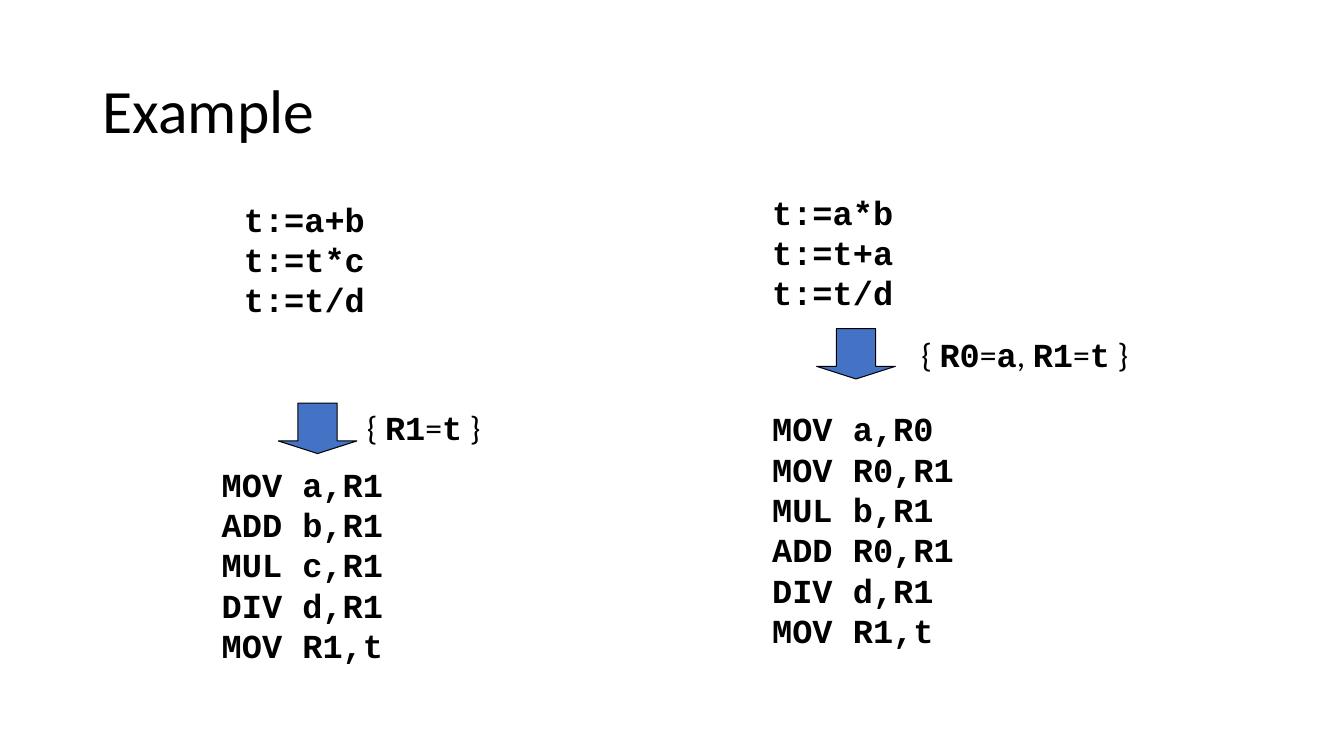
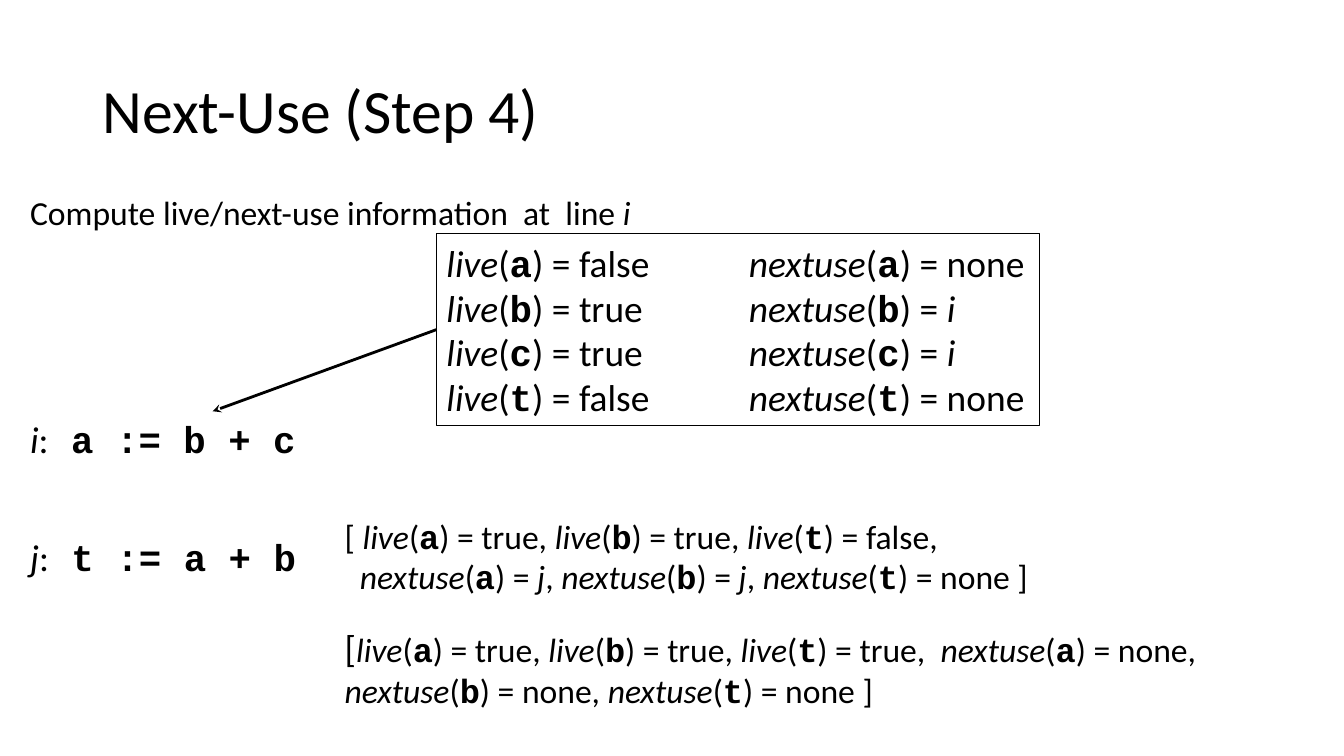
from lxml import etree
from pptx import Presentation
from pptx import util as u
from pptx.dml.color import RGBColor
from pptx.enum import shapes, text
from pptx.oxml import ns

SCALE = 9144
COLORS = {"ink": "000000", "arrow": "4472C4"}
BODY, LARGE, TITLE = 24, 26.7, 44
MARKS = {
    "`": {"name": "Courier New", "bold": True},
    "_": {"italic": True},
    "~": {"size": u.Pt(LARGE)},
}


def px(value):
    return u.Emu(value * SCALE)


def color(name):
    return RGBColor.from_string(COLORS[name])


def assign(target, values):
    for name, value in values.items():
        setattr(target, name, value)


def split_marks(line):
    active, words = set(), ""
    for char in line:
        if char in MARKS:
            if words:
                yield words, set(active)
            active ^= {char}
            words = ""
        else:
            words += char
    if words:
        yield words, active


class Slides:
    def __init__(self):
        self.deck = Presentation()
        assign(self.deck, {"slide_width": px(1333), "slide_height": px(750)})
        self.page = None

    def new_page(self, title):
        self.page = self.deck.slides.add_slide(self.deck.slide_layouts[6])
        box = self.text((92, 40, 1150, 145), [title], TITLE, wrap=True, grow=False)
        box.text_frame.vertical_anchor = text.MSO_ANCHOR.MIDDLE
        box.text_frame.paragraphs[0].line_spacing = 0.9

    def set_lines(self, box, lines, size, wrap, grow=True):
        frame = box.text_frame
        fit = text.MSO_AUTO_SIZE
        assign(frame, {
            "word_wrap": wrap,
            "auto_size": fit.SHAPE_TO_FIT_TEXT if grow else fit.NONE,
        })
        for index, line in enumerate(lines):
            para = frame.add_paragraph() if index else frame.paragraphs[0]
            para.alignment = text.PP_ALIGN.LEFT
            for words, marks in split_marks(line):
                span = para.add_run()
                span.text = words
                style = {"name": "Calibri", "size": u.Pt(size)}
                for mark in marks:
                    style.update(MARKS[mark])
                assign(span.font, style)
                span.font.color.rgb = color("ink")
        return box

    def text(self, area, lines, size=BODY, wrap=False, grow=True):
        box = self.page.shapes.add_textbox(*map(px, area))
        return self.set_lines(box, lines, size, wrap, grow)

    def code(self, area, lines):
        return self.text(area, [f"`{line}`" for line in lines])

    def shape(self, kind, area, fill=None):
        shape = self.page.shapes.add_shape(kind, *map(px, area))
        shape.shadow.inherit = False
        if fill:
            shape.fill.solid()
            shape.fill.fore_color.rgb = color(fill)
        else:
            shape.fill.background()
        shape.line.color.rgb = color("ink")
        shape.line.width = u.Pt(0.75)
        return shape

    def down_arrow(self, left, top):
        arrow = self.shape(shapes.MSO_SHAPE.DOWN_ARROW, (left, top, 78, 50), "arrow")
        arrow.adjustments[0], arrow.adjustments[1] = 0.5, 0.25

    def panel(self, area, lines, tab):
        box = self.shape(shapes.MSO_SHAPE.RECTANGLE, area)
        self.set_lines(box, lines, LARGE, wrap=True)
        for para in box.text_frame.paragraphs:
            tabs = etree.SubElement(para._p.get_or_add_pPr(), ns.qn("a:tabLst"))
            etree.SubElement(tabs, ns.qn("a:tab"), pos=str(px(tab)), algn="l")
        return box

    def pointer(self, box, side, end):
        line = self.page.shapes.add_connector(
            shapes.MSO_CONNECTOR.STRAIGHT, box.left, box.top, *map(px, end))
        line.begin_connect(box, side)
        line.line.color.rgb = color("ink")
        line.line.width = u.Pt(2)
        properties = line._element.spPr
        etree.SubElement(properties.get_or_add_ln(), ns.qn("a:tailEnd"), type="stealth")
        etree.SubElement(properties, ns.qn("a:effectLst"))


def build_example(slides):
    slides.new_page("Example")
    slides.code((232, 192, 141, 131), ["t:=a+b", "t:=t*c", "t:=t/d"])
    slides.code((210, 455, 181, 212),
                ["MOV a,R1", "ADD b,R1", "MUL c,R1", "DIV d,R1", "MOV R1,t"])
    slides.down_arrow(276, 400)
    slides.text((354, 399, 134, 50), ["{ `R1`=`t` }"])
    slides.code((756, 185, 141, 131), ["t:=a*b", "t:=t+a", "t:=t/d"])
    slides.code((756, 400, 202, 252),
                ["MOV a,R0", "MOV R0,R1", "MUL b,R1", "ADD R0,R1", "DIV d,R1", "MOV R1,t"])
    slides.down_arrow(810, 326)
    slides.text((904, 326, 227, 50), ["{ `R0`=`a`, `R1`=`t` }"])


def build_next_use(slides):
    slides.new_page("Next-Use (Step 4)")
    slides.text((20, 185, 623, 50), ["Compute live/next-use information  at  line _i_"])
    for top, statement in ((408, "_i_:` a := b + c`"), (525, "_j_:` t := a + b`")):
        slides.text((20, top, 286, 55), [statement], LARGE)
    facts = [("a", "false", "none"), ("b", "true", "_i_"),
             ("c", "true", "_i_"), ("t", "false", "none")]
    table = slides.panel(
        (433, 232, 598, 190),
        [f"_live_(`{name}`) = {live}\t_nextuse_(`{name}`) = {use}" for name, live, use in facts],
        tab=300)
    slides.pointer(table, 1, (211, 408))
    before = slides.text((332, 507, 842, 91), [
        "[ _live_(`a`) = true, _live_(`b`) = true, _live_(`t`) = false,",
        "_nextuse_(`a`) = _j_, _nextuse_(`b`) = _j_, _nextuse_(`t`) = none ]",
    ], wrap=True)
    before.text_frame.paragraphs[1]._p.get_or_add_pPr().set("marL", str(px(15)))
    slides.text((332, 615, 933, 95), [
        "~[~_live_(`a`) = true, _live_(`b`) = true, _live_(`t`) = true,  "
        "_nextuse_(`a`) = none, _nextuse_(`b`) = none, _nextuse_(`t`) = none ]",
    ], wrap=True)


def main():
    slides = Slides()
    build_example(slides)
    build_next_use(slides)
    slides.deck.save("out.pptx")


if __name__ == "__main__":
    main()
